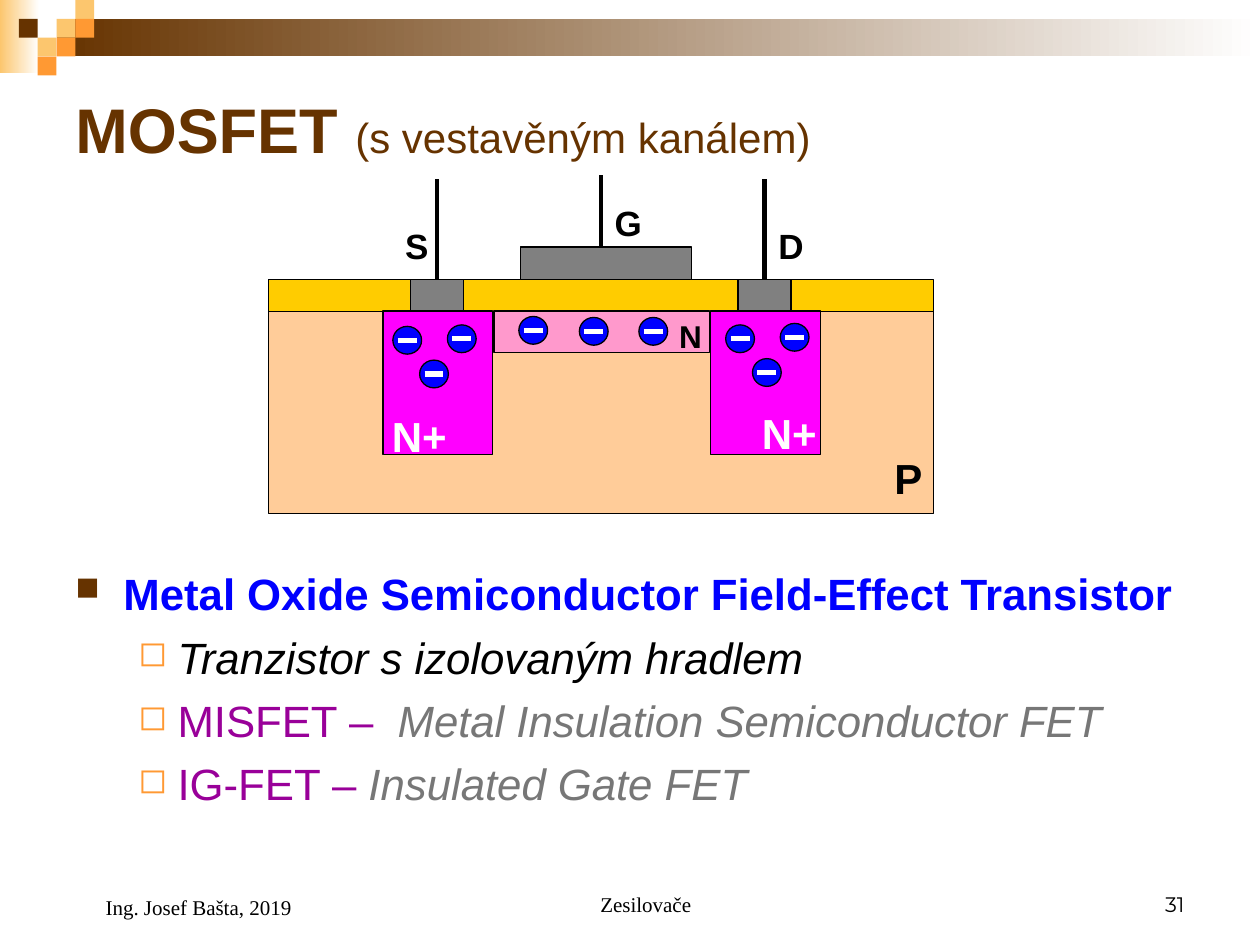
from lxml.etree import SubElement
from pptx import Presentation
from pptx.dml.color import RGBColor
from pptx.enum.shapes import MSO_CONNECTOR, MSO_SHAPE
from pptx.enum.text import MSO_ANCHOR, MSO_AUTO_SIZE, PP_ALIGN
from pptx.oxml.ns import qn
from pptx.util import Cm, Pt

HUES = {
    "white": "FFFFFF", "black": "000000", "brown": "663300", "sand": "FCC66E",
    "orange": "FF9933", "base": "FFCC99", "oxide": "FFCC00", "metal": "808080",
    "well": "FF00FF", "pink": "FF99CC", "blue": "0000FF", "plum": "990099",
    "gray": "777777",
}


class Board:
    def __init__(self, slide, font="Arial"):
        self.slide = slide
        self.items = slide.shapes
        self.font = font

    def hue(self, name):
        return RGBColor.from_string(HUES[name])

    def shape(self, box, fill, edge=True, kind=MSO_SHAPE.RECTANGLE):
        shape = self.items.add_shape(kind, *map(Cm, box))
        shape.shadow.inherit = False
        if isinstance(fill, tuple):
            shape.fill.gradient()
            shape.fill.gradient_angle = 180
            for stop, name, place in zip(shape.fill.gradient_stops, fill, (0, 1)):
                stop.color.rgb = self.hue(name)
                stop.position = place
        else:
            shape.fill.solid()
            shape.fill.fore_color.rgb = self.hue(fill)
        if edge:
            shape.line.color.rgb = self.hue("black")
            shape.line.width = Pt(0.75)
        else:
            shape.line.fill.background()
        return shape

    def line(self, start, end, color="black", width=2.5):
        line = self.items.add_connector(MSO_CONNECTOR.STRAIGHT, *start, *end)
        line.line.color.rgb = self.hue(color)
        line.line.width = Pt(width)
        SubElement(line._element.spPr, qn("a:effectLst"))
        return line

    def lead(self, pad, top):
        mid = pad.left + pad.width // 2
        self.line((mid, pad.top), (mid, Cm(top))).begin_connect(pad, 0)

    def charge(self, x, y):
        self.shape((x, y, 0.58, 0.56), "blue", kind=MSO_SHAPE.OVAL)
        self.line((Cm(x + 0.1), Cm(y + 0.28)), (Cm(x + 0.48), Cm(y + 0.28)), "white", 3)

    def frame(self, shape, box, anchor):
        for key, size in zip(("left", "top", "width", "height"), box):
            setattr(shape, key, Cm(size))
        text = shape.text_frame
        style = {
            "word_wrap": True, "auto_size": MSO_AUTO_SIZE.NONE,
            "vertical_anchor": anchor, "margin_left": Cm(0.25),
            "margin_right": Cm(0.25), "margin_top": Cm(0.13),
            "margin_bottom": Cm(0.13),
        }
        for key, value in style.items():
            setattr(text, key, value)
        return text

    def run(self, para, words, size, color="black", **style):
        run = para.add_run()
        run.text = words
        look = {"name": self.font, "size": Pt(size), "bold": False, "italic": False}
        for key, value in (look | style).items():
            setattr(run.font, key, value)
        run.font.color.rgb = self.hue(color)

    def indent(self, para, left, first=0):
        props = para._p.get_or_add_pPr()
        props.set("marL", str(Cm(left)))
        props.set("indent", str(Cm(first)))
        return props

    def bullet(self, para, mark, color, size, left, first):
        props = self.indent(para, left, first)
        tint = SubElement(props, qn("a:buClr"))
        SubElement(tint, qn("a:srgbClr"), val=HUES[color])
        SubElement(props, qn("a:buSzPct"), val=str(size * 1000))
        SubElement(props, qn("a:buChar"), char=mark)

    def title(self, box, parts):
        para = self.frame(self.items.title, box, MSO_ANCHOR.MIDDLE).paragraphs[0]
        para.alignment = PP_ALIGN.LEFT
        for words, size, bold in parts:
            self.run(para, words, size, "brown", bold=bold)

    def label(self, box, words, size, color="black", anchor=MSO_ANCHOR.TOP,
              align=PP_ALIGN.LEFT, left=0, **style):
        text = self.frame(self.items.add_textbox(0, 0, 0, 0), box, anchor)
        para = text.paragraphs[0]
        para.alignment = align
        self.indent(para, left)
        self.run(para, words, size, color, **style)

    def list(self, box, rows):
        text = self.frame(self.items.add_textbox(0, 0, 0, 0), box, MSO_ANCHOR.TOP)
        for rank, (level, runs) in enumerate(rows):
            para = text.add_paragraph() if rank else text.paragraphs[0]
            para.level = level
            if rank:
                para.space_before = Pt(6.2)
            if level:
                self.bullet(para, "◻", "orange", 80, 2.06, -0.79)
            else:
                self.bullet(para, "■", "brown", 75, 0.97, -0.97)
            for words, color, style in runs:
                self.run(para, words, 25, color, **style)


def banner(board):
    board.shape((0, 0, 0.79, 1.47), ("white", "sand"), False)
    board.shape((1.14, 0.38, 24.26, 0.76), ("white", "brown"), False)
    side = 0.38
    tiles = [(3, 1, "sand"), (4, 0, "sand"), (4, 1, "orange"), (2, 2, "sand"),
             (1, 1, "brown"), (3, 2, "orange"), (2, 3, "orange")]
    for col, row, fill in tiles:
        board.shape((col * side, row * side, side, side), fill, False)


def device(board):
    board.shape((5.41, 6.27, 13.41, 4.09), "base")
    board.shape((5.41, 5.64, 13.41, 0.64), "oxide")
    pads = [board.shape((x, 5.64, 1.07, 0.66), "metal") for x in (8.28, 14.88)]
    board.shape((10.49, 4.98, 3.45, 0.66), "metal")
    for x in (7.72, 14.33):
        board.shape((x, 6.27, 2.21, 2.9), "well")
    board.shape((9.96, 6.27, 4.34, 0.84), "pink")

    for pad in pads:
        board.lead(pad, 3.61)
    board.line((Cm(12.12), Cm(4.98)), (Cm(12.12), Cm(3.53)))

    labels = [
        ((15.11, 8.08, 1.75, 1.27), "N+", 24, "white"),
        ((7.65, 8.15, 1.75, 1.27), "N+", 24, "white"),
        ((17.78, 8.99, 0.74, 1.27), "P", 24, "black"),
        ((12.14, 3.94, 1.04, 1.12), "G", 20, "black"),
        ((7.92, 4.39, 1.04, 1.12), "S", 20, "black"),
        ((15.44, 4.39, 1.04, 1.12), "D", 20, "black"),
        ((13.44, 6.27, 0.79, 1.02), "N", 18, "black"),
    ]
    for box, words, size, color in labels:
        board.label(box, words, size, color, bold=True)

    for x, y in ((7.92, 6.58), (14.63, 6.55)):
        for right, down in ((0, 0), (1.1, -0.03), (0.54, 0.68)):
            board.charge(x + right, y + down)
    for x, y in ((10.46, 6.38), (11.68, 6.4), (12.88, 6.4)):
        board.charge(x, y)


def main():
    deck = Presentation()
    deck.slide_width, deck.slide_height = Cm(25.4), Cm(19.05)
    board = Board(deck.slides.add_slide(deck.slide_layouts[5]))

    banner(board)
    board.title((1.27, 1.27, 22.86, 2.62),
                [("MOSFET ", 36, True), ("(s vestavěným kanálem)", 24, False)])
    device(board)

    bold, slant = {"bold": True}, {"italic": True}
    board.list((1.27, 11.3, 22.86, 5.49), [
        (0, [("Metal Oxide Semiconductor Field-Effect Transistor", "blue", bold)]),
        (1, [("Tranzistor s izolovaným hradlem", "black", slant)]),
        (1, [("MISFET – ", "plum", {}),
             (" Metal Insulation Semiconductor FET", "gray", slant)]),
        (1, [("IG-FET – ", "plum", {}), ("Insulated Gate FET", "gray", slant)]),
    ])

    serif = "Times New Roman"
    notes = [
        ((1.27, 17.35, 5.92, 1.32), "Ing. Josef Bašta, 2019", PP_ALIGN.LEFT, 0.61, serif),
        ((8.69, 17.35, 8.05, 1.27), "Zesilovače", PP_ALIGN.CENTER, 0.61, serif),
        ((18.21, 17.35, 5.92, 1.27), "31", PP_ALIGN.RIGHT, 0, "Montserrat"),
    ]
    for box, words, align, left, font in notes:
        board.label(box, words, 12, anchor=MSO_ANCHOR.BOTTOM, align=align,
                    left=left, name=font)

    deck.save("out.pptx")


if __name__ == "__main__":
    main()
